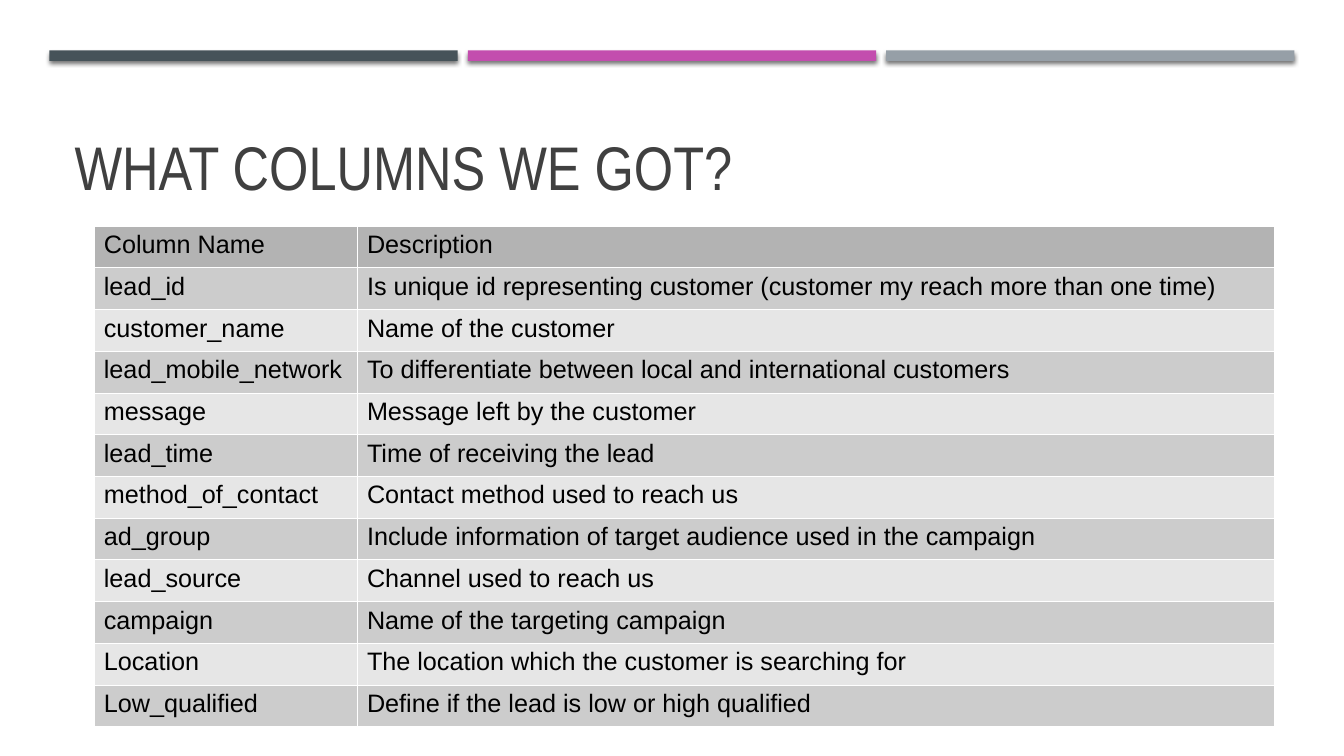
import dataclasses

import lxml.etree
import pptx
import pptx.dml.color
import pptx.enum.shapes
import pptx.enum.text
import pptx.oxml.ns
import pptx.util

COLORS = {
    "title": "404040",
    "text": "000000",
    "border": "FFFFFF",
    "shadow": "000000",
    "header": "B3B3B3",
    "odd": "CCCCCC",
    "even": "E6E6E6",
    "slate": "465359",
    "magenta": "C34DAE",
    "gray": "969FA7",
}
SLIDE_WIDTH = pptx.util.Inches(13.33)
SLIDE_HEIGHT = pptx.util.Inches(7.5)
BAR_COLORS = ("slate", "magenta", "gray")
COLUMN_SHARES = (19.58, 68.27)
ROW_SHARE = 5.52


@dataclasses.dataclass(frozen=True)
class Area:
    """A rectangle in percent of the slide's width and height."""
    left: float
    top: float
    width: float
    height: float

    def lengths(self) -> tuple[int, int, int, int]:
        return across(self.left), down(self.top), across(self.width), down(self.height)


@dataclasses.dataclass(frozen=True)
class Field:
    name: str
    description: str


FIELDS = (
    Field("Column Name", "Description"),
    Field("lead_id", "Is unique id representing customer (customer my reach more than one time)"),
    Field("customer_name", "Name of the customer"),
    Field("lead_mobile_network", "To differentiate between local and international customers"),
    Field("message", "Message left by the customer"),
    Field("lead_time", "Time of receiving the lead"),
    Field("method_of_contact", "Contact method used to reach us"),
    Field("ad_group", "Include information of target audience used in the campaign"),
    Field("lead_source", "Channel used to reach us"),
    Field("campaign", "Name of the targeting campaign"),
    Field("Location", "The location which the customer is searching for"),
    Field("Low_qualified", "Define if the lead is low or high qualified"),
)


def across(share: float) -> int:
    return round(SLIDE_WIDTH * share / 100)


def down(share: float) -> int:
    return round(SLIDE_HEIGHT * share / 100)


def rgb(name: str) -> pptx.dml.color.RGBColor:
    return pptx.dml.color.RGBColor.from_string(COLORS[name])


def add_element(parent, tag: str, **attributes: str):
    return lxml.etree.SubElement(parent, pptx.oxml.ns.qn(tag), attributes)


def write(frame, text: str, *, font: str, size: float, color: str, spacing: float = 1.0) -> None:
    para = frame.paragraphs[0]
    para.alignment = pptx.enum.text.PP_ALIGN.LEFT
    para.line_spacing = spacing
    span = para.add_run()
    span.text = text
    span.font.name = font
    span.font.size = pptx.util.Pt(size)
    span.font.bold = False
    span.font.color.rgb = rgb(color)


def add_title(page, text: str, area: Area) -> None:
    title = page.shapes.title
    title.left, title.top, title.width, title.height = area.lengths()
    frame = title.text_frame
    frame.word_wrap = True
    frame.auto_size = pptx.enum.text.MSO_AUTO_SIZE.NONE
    frame.vertical_anchor = pptx.enum.text.MSO_ANCHOR.BOTTOM
    write(frame, text, font="Arial Narrow", size=44, color="title", spacing=0.9)


def add_bar(page, area: Area, color: str) -> None:
    bar = page.shapes.add_shape(pptx.enum.shapes.MSO_SHAPE.RECTANGLE, *area.lengths())
    bar.fill.solid()
    bar.fill.fore_color.rgb = rgb(color)
    bar.line.fill.background()
    bar.shadow.inherit = False
    effects = bar.element.spPr.find(pptx.oxml.ns.qn("a:effectLst"))
    shadow = add_element(effects, "a:outerShdw", blurRad=str(pptx.util.Pt(3)),
                         dist=str(pptx.util.Pt(2)), dir="5400000", rotWithShape="0")
    shade = add_element(shadow, "a:srgbClr", val=COLORS["shadow"])
    add_element(shade, "a:alpha", val="55000")


def add_borders(cell) -> None:
    properties = cell._tc.get_or_add_tcPr()
    for side in ("L", "R", "T", "B"):
        line = add_element(properties, f"a:ln{side}", w=str(pptx.util.Pt(0.06)))
        add_element(add_element(line, "a:solidFill"), "a:srgbClr", val=COLORS["border"])


def add_field_table(page, left: float, top: float) -> None:
    area = Area(left, top, sum(COLUMN_SHARES), ROW_SHARE * len(FIELDS))
    table = page.shapes.add_table(len(FIELDS), len(COLUMN_SHARES), *area.lengths()).table
    table.first_row = table.horz_banding = False
    for column, share in zip(table.columns, COLUMN_SHARES):
        column.width = across(share)
    for index, (row, field) in enumerate(zip(table.rows, FIELDS)):
        row.height = down(ROW_SHARE)
        shade = "header" if index == 0 else "odd" if index % 2 else "even"
        for cell, text in zip(row.cells, (field.name, field.description)):
            add_borders(cell)
            cell.fill.solid()
            cell.fill.fore_color.rgb = rgb(shade)
            write(cell.text_frame, text, font="Arial", size=18, color="text")


def main() -> None:
    deck = pptx.Presentation()
    deck.slide_width, deck.slide_height = SLIDE_WIDTH, SLIDE_HEIGHT
    page = deck.slides.add_slide(deck.slide_layouts.get_by_name("Title Only"))
    add_title(page, "WHAT COLUMNS WE GOT?", Area(4.8, 10.27, 90.47, 17.33))
    for index, color in enumerate(BAR_COLORS):
        add_bar(page, Area(3.68 + 31.13 * index, 6.67, 30.38, 1.4), color)
    add_field_table(page, left=6.98, top=29.87)
    deck.save("out.pptx")


if __name__ == "__main__":
    main()
